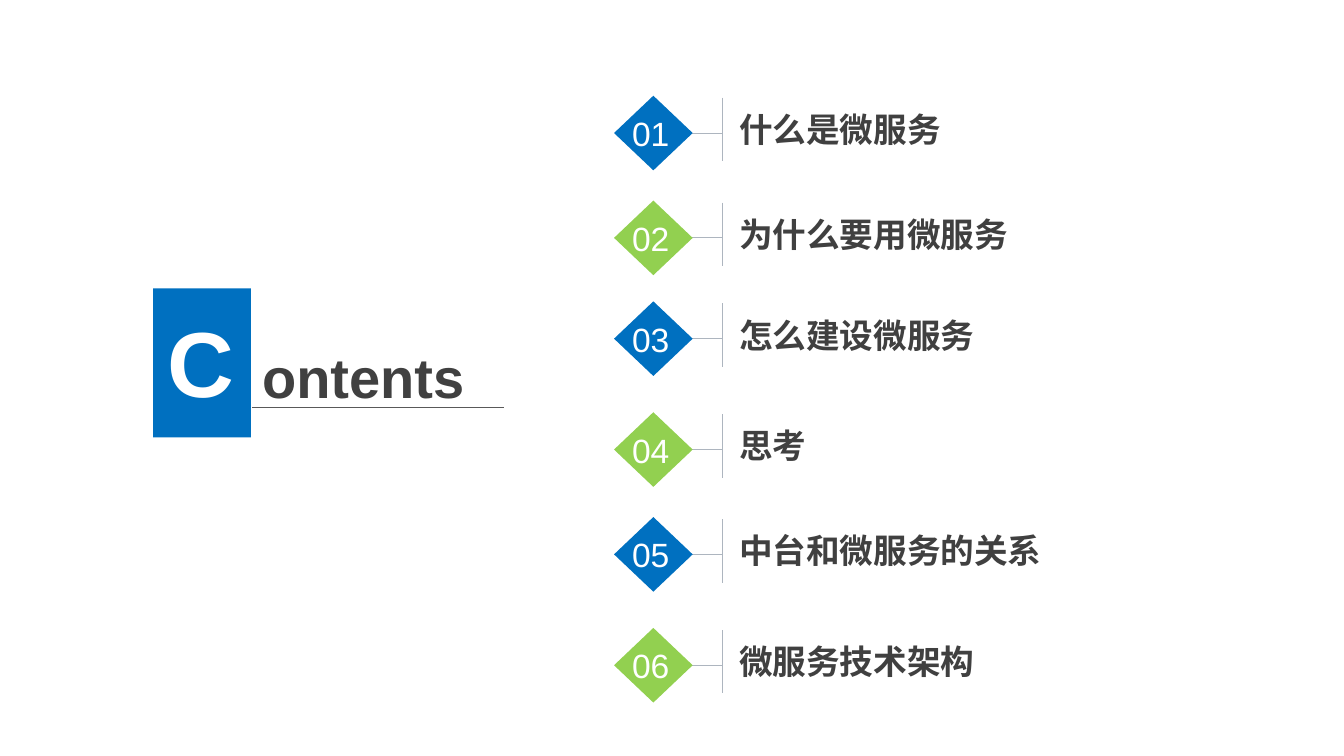
from lxml import etree
from pptx import Presentation
from pptx.dml.color import RGBColor
from pptx.enum.shapes import MSO_CONNECTOR, MSO_SHAPE
from pptx.enum.text import MSO_ANCHOR, MSO_AUTO_SIZE, PP_ALIGN
from pptx.oxml.ns import qn
from pptx.util import Inches, Pt

STRAIGHT = MSO_CONNECTOR.STRAIGHT
RECT, DIAMOND = MSO_SHAPE.RECTANGLE, MSO_SHAPE.DIAMOND
MIDDLE, BOTTOM = MSO_ANCHOR.MIDDLE, MSO_ANCHOR.BOTTOM
LEFT, RIGHT, JUSTIFY = PP_ALIGN.LEFT, PP_ALIGN.RIGHT, PP_ALIGN.JUSTIFY
NO_FIT = MSO_AUTO_SIZE.NONE

BLUE = RGBColor(0x00, 0x70, 0xC0)
GREEN = RGBColor(0x92, 0xD0, 0x50)
WHITE = RGBColor(0xFF, 0xFF, 0xFF)
DARK = RGBColor(0x40, 0x40, 0x40)
RULE = RGBColor(0x59, 0x59, 0x59)
PALE = RGBColor(0xAD, 0xB5, 0xBF)

TOPICS = [
    (0.95, "什么是微服务"),
    (1.99, "为什么要用微服务"),
    (2.99, "怎么建设微服务"),
    (4.09, "思考"),
    (5.13, "中台和微服务的关系"),
    (6.23, "微服务技术架构"),
]


def add_block(s, kind, x, y, w, h, color):
    """Add a plain filled shape without outline."""
    sp = s.shapes.add_shape(kind, Inches(x), Inches(y), Inches(w), Inches(h))
    sp.shadow.inherit = False
    sp.fill.solid()
    sp.fill.fore_color.rgb = color
    sp.line.fill.background()


def add_line(s, x1, y1, x2, y2, color, oval=False):
    """Add a thin line, optionally starting with an oval."""
    cn = s.shapes.add_connector(STRAIGHT, Inches(x1), Inches(y1), Inches(x2), Inches(y2))
    cn.line.color.rgb = color
    cn.line.width = Pt(0.75)
    if oval:
        etree.SubElement(cn.line._get_or_add_ln(), qn("a:headEnd"), type="oval")
    etree.SubElement(cn._element.spPr, qn("a:effectLst"))


def write(sp, text, size, color, bold=False, align=LEFT, anchor=BOTTOM, inset=(0.1, 0.05)):
    """Write one formatted line of text into a shape."""
    tf = sp.text_frame
    tf.word_wrap = True
    tf.auto_size = NO_FIT
    tf.vertical_anchor = anchor
    tf.margin_left = tf.margin_right = Inches(inset[0])
    tf.margin_top = tf.margin_bottom = Inches(inset[1])
    p = tf.paragraphs[0]
    p.alignment = align
    r = p.add_run()
    r.text = text
    r.font.name = "Arial"
    r.font.size = Pt(size)
    r.font.bold = bold
    r.font.color.rgb = color


def add_text(s, x, y, w, h, *args, **kwargs):
    """Add a text box holding one line."""
    write(s.shapes.add_textbox(Inches(x), Inches(y), Inches(w), Inches(h)), *args, **kwargs)


def add_heading(s, x, y, w, h):
    """Place the initial block, the rest of the title and its rule."""
    block_w = 0.97
    add_block(s, RECT, x, y, block_w, h, BLUE)
    add_text(s, x + 0.04, y + 0.11, 0.84, 1.21, "C", 66, WHITE, bold=True, align=RIGHT)
    title = s.shapes.title
    title.left, title.top = Inches(x + block_w + 0.01), Inches(y + 0.48)
    title.width, title.height = Inches(w - block_w), Inches(0.77)
    write(title, "ontents", 40, DARK, bold=True, align=JUSTIFY)
    add_line(s, x + block_w + 0.01, y + 1.18, x + w, y + 1.18, RULE)


def add_topic(s, x, y, w, h, number, label):
    """Place one numbered diamond, its connecting lines and its label."""
    bar_x = x + 1.08
    add_line(s, bar_x, y + 0.02, bar_x, y + 0.65, PALE)
    add_line(s, x + 0.64, y + h / 2, bar_x, y + h / 2, PALE, oval=True)
    add_block(s, DIAMOND, x, y, 0.78, h, BLUE if number % 2 else GREEN)
    add_text(s, x + 0.08, y + 0.12, 0.62, 0.5, f"{number:02d}", 24, WHITE)
    add_text(s, x + 1.24, y + 0.13, w - 1.24, 0.4, label, 24, DARK,
             bold=True, anchor=MIDDLE, inset=(0, 0))


def build_contents(prs):
    """Build the contents slide."""
    s = prs.slides.add_slide(prs.slide_layouts[5])
    add_heading(s, 1.52, 2.86, 3.48, 1.48)
    for number, (top, label) in enumerate(TOPICS, 1):
        add_topic(s, 6.09, top, 5.4, 0.74, number, label)


prs = Presentation()
prs.slide_width, prs.slide_height = Inches(13.33), Inches(7.5)
build_contents(prs)
prs.save("out.pptx")
